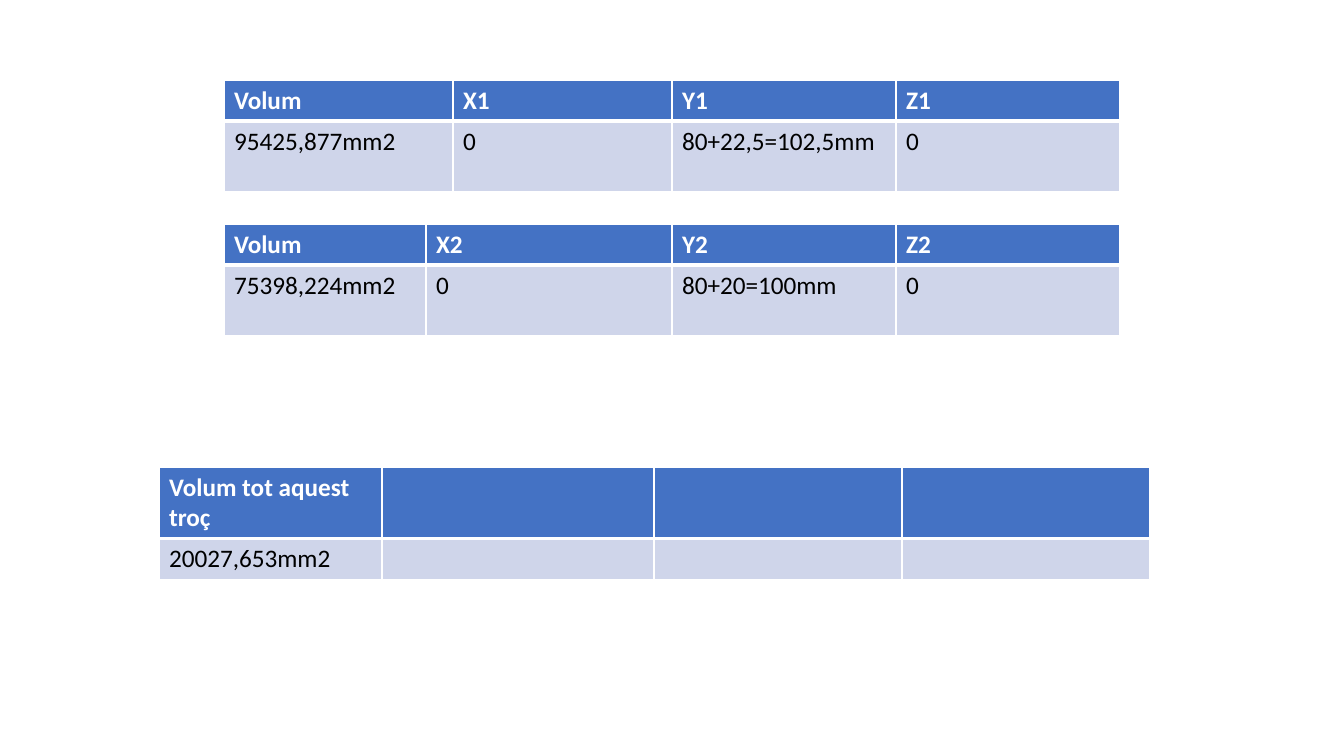
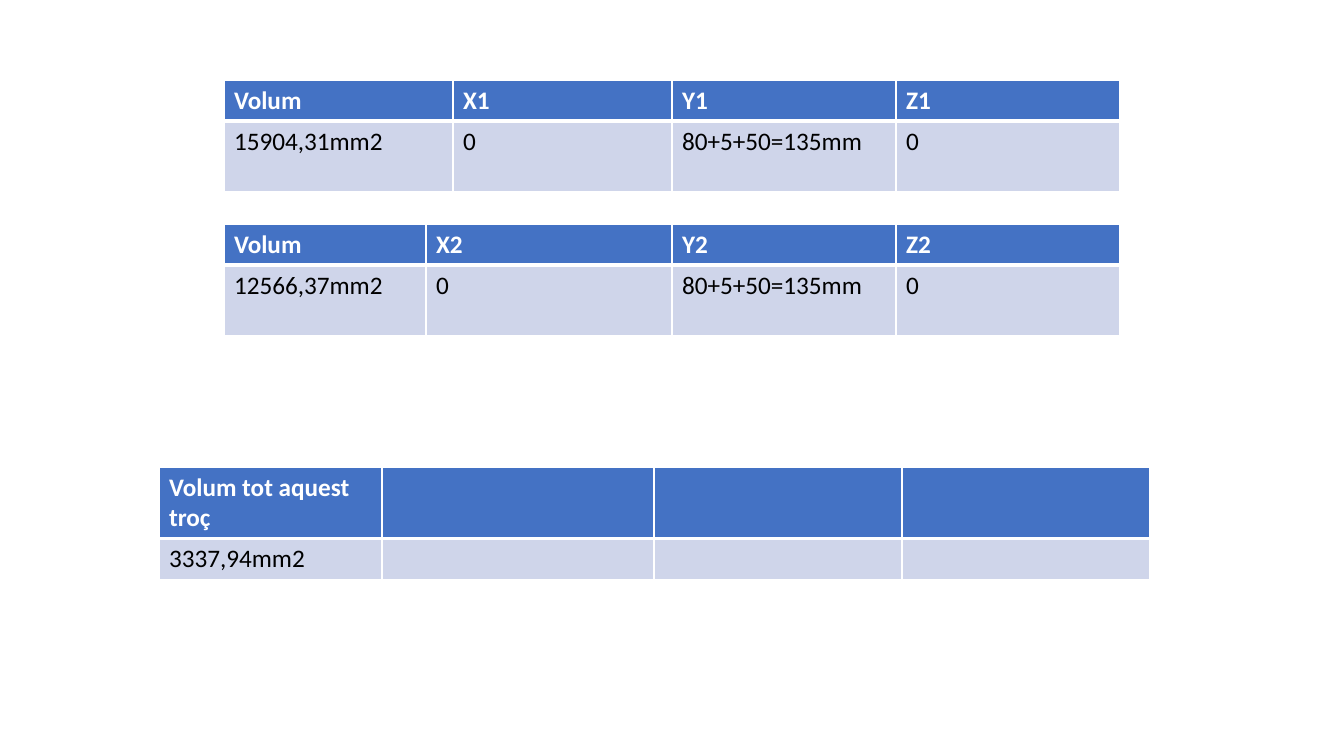
from dataclasses import dataclass

from pptx import Presentation
from pptx.dml.color import RGBColor as Rgb
from pptx.oxml.ns import qn
from pptx.util import Pt
from lxml.etree import SubElement

PX = 914400 / 100.8  # EMU in one px


@dataclass(frozen=True)
class Theme:
    header_fill: str = "4472C4"
    body_fill: str = "CFD5EA"
    header_text: str = "FFFFFF"
    body_text: str = "000000"
    border: str = "FFFFFF"
    thin: int = 1
    thick: int = 3
    font: str = "Calibri"
    size: int = 18


THEME = Theme()


def px(length):
    return round(length * PX)


def add_border(cell, side, width):
    line = SubElement(cell._tc.get_or_add_tcPr(), qn(f"a:{side}"), w=str(Pt(width)))
    fill = SubElement(line, qn("a:solidFill"))
    SubElement(fill, qn("a:srgbClr"), val=THEME.border)


# Table frames shared by the slides: left, top, column widths, row heights, headings
FRAMES = [
    (224, 80, (229, 219, 224, 224), (41, 71), ("Volum", "X1", "Y1", "Z1")),
    (224, 224, (202, 246, 224, 224), (41, 71), ("Volum", "X2", "Y2", "Z2")),
    (159, 467, (223, 272, 248, 248), (71, 41), ("Volum tot aquest troç", "", "", "")),
]

# Body row of each table, slide by slide
SLIDES = [
    [
        ("95425,877mm2", "0", "80+22,5=102,5mm", "0"),
        ("75398,224mm2", "0", "80+20=100mm", "0"),
        ("20027,653mm2", "", "", ""),
    ],
    [
        ("15904,31mm2", "0", "80+5+50=135mm", "0"),
        ("12566,37mm2", "0", "80+5+50=135mm", "0"),
        ("3337,94mm2", "", "", ""),
    ],
]

deck = Presentation()
deck.slide_width, deck.slide_height = px(1344), px(756)

for body_rows in SLIDES:
    page = deck.slides.add_slide(deck.slide_layouts[6])

    for (left, top, widths, heights, headings), values in zip(FRAMES, body_rows):
        # Grid
        table = page.shapes.add_table(
            len(heights), len(widths),
            px(left), px(top), px(sum(widths)), px(sum(heights)),
        ).table
        for column, width in zip(table.columns, widths):
            column.width = px(width)
        for row, height in zip(table.rows, heights):
            row.height = px(height)

        # Cells
        for row, texts in zip(table.rows, (headings, values)):
            is_header = texts is headings
            # The line between header and body is thick
            top_line = THEME.thin if is_header else THEME.thick
            bottom_line = THEME.thick if is_header else THEME.thin
            for cell, text in zip(row.cells, texts):
                add_border(cell, "lnL", THEME.thin)
                add_border(cell, "lnR", THEME.thin)
                add_border(cell, "lnT", top_line)
                add_border(cell, "lnB", bottom_line)
                cell.fill.solid()
                cell.fill.fore_color.rgb = Rgb.from_string(
                    THEME.header_fill if is_header else THEME.body_fill)
                cell.text = text
                font = cell.text_frame.paragraphs[0].font
                font.name, font.size, font.bold = THEME.font, Pt(THEME.size), is_header
                font.color.rgb = Rgb.from_string(
                    THEME.header_text if is_header else THEME.body_text)

deck.save("out.pptx")
